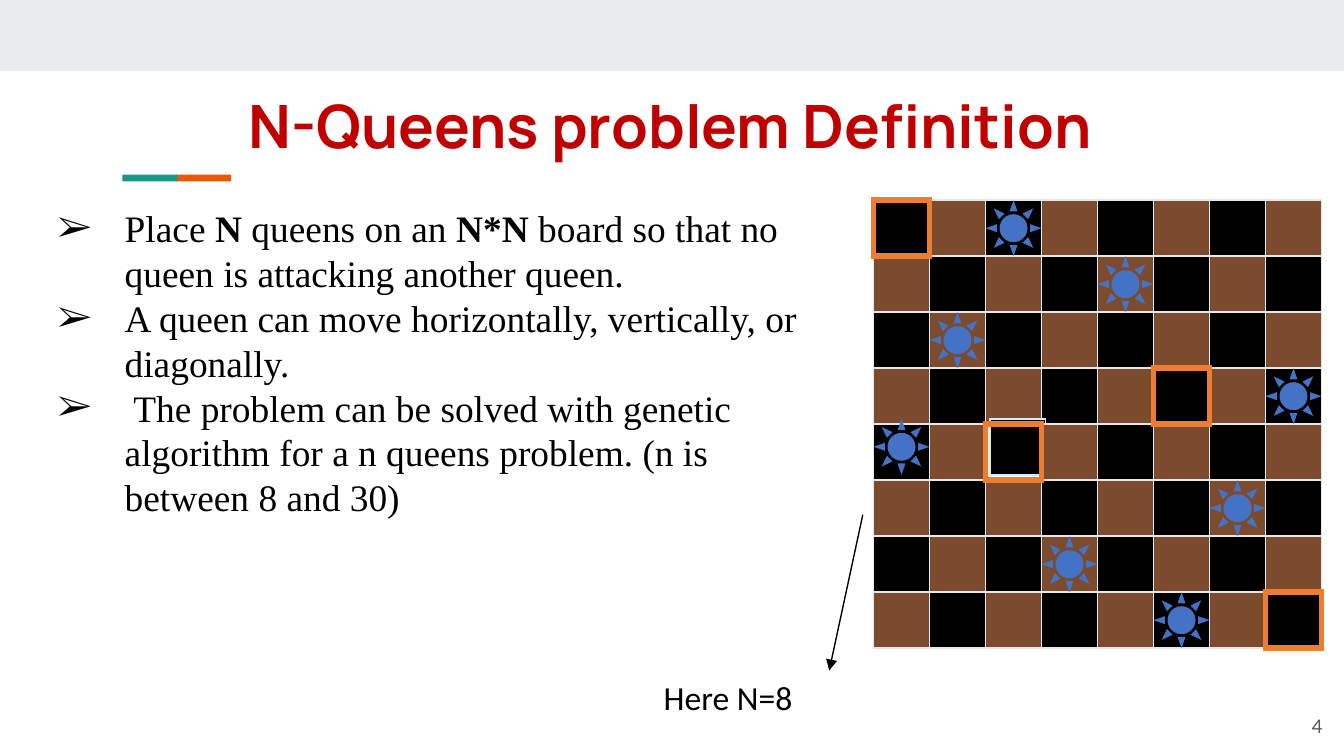
from lxml import etree
from pptx import Presentation
from pptx.dml.color import RGBColor
from pptx.enum.shapes import MSO_CONNECTOR, MSO_SHAPE
from pptx.enum.text import MSO_ANCHOR, PP_ALIGN
from pptx.oxml.ns import qn
from pptx.util import Inches, Pt

RECTANGLE = MSO_SHAPE.RECTANGLE
SUN = MSO_SHAPE.SUN
STRAIGHT = MSO_CONNECTOR.STRAIGHT
TOP, MIDDLE = MSO_ANCHOR.TOP, MSO_ANCHOR.MIDDLE
LEFT, RIGHT = PP_ALIGN.LEFT, PP_ALIGN.RIGHT

BOARD_SIZE = 8
BOARD_LEFT, BOARD_TOP = 6.5, 1.49
CELL = 5 / 12
QUEENS = [(0, 2), (1, 4), (2, 1), (3, 7), (4, 0), (5, 6), (6, 3), (7, 5)]
HIGHLIGHTS = [(0, 0), (3, 5), (4, 2), (7, 7)]
CELL_SHIFTS = {(4, 2): (0.03, -0.04)}
QUEEN_SHIFTS = {(4, 0): (0, -0.04)}

STATEMENTS = [
    [("Place ", False), ("N", True), (" queens on an ", False), ("N*N", True),
     (" board so that no queen is attacking another queen.", False)],
    [("A queen can move horizontally, vertically, or diagonally.", False)],
    [(" The problem can be solved with genetic algorithm for a n queens "
      "problem. (n is between 8 and 30)", False)],
]


def color(value):
    return RGBColor.from_string(value)


class SlideBuilder:
    black = "000000"
    brown = "7C4A2C"
    grid = "E7E6E6"
    queen = "4472C4"
    highlight = "ED7D31"

    def __init__(self, slide):
        self.slide = slide

    def shape(self, kind, left, top, width, height, fill=None, line=None, weight=1):
        item = self.slide.shapes.add_shape(
            kind, Inches(left), Inches(top), Inches(width), Inches(height))
        item.shadow.inherit = False
        if fill:
            item.fill.solid()
            item.fill.fore_color.rgb = color(fill)
        else:
            item.fill.background()
        if line:
            item.line.color.rgb = color(line)
            item.line.width = Pt(weight)
            etree.SubElement(item.line._get_or_add_ln(), qn("a:miter")).set("lim", "800000")
        else:
            item.line.fill.background()

    def on_board(self, kind, square, shift=(0, 0), **style):
        row, column = square
        self.shape(kind, BOARD_LEFT + column * CELL + shift[0],
                   BOARD_TOP + row * CELL + shift[1], CELL, CELL, **style)

    def text(self, left, top, width, height, paragraphs, font, size, ink="000000",
             inset=0.05, align=LEFT, anchor=TOP, bullet=None):
        box = self.slide.shapes.add_textbox(
            Inches(left), Inches(top), Inches(width), Inches(height))
        frame = box.text_frame
        frame.word_wrap = True
        frame.vertical_anchor = anchor
        frame.margin_left = frame.margin_right = Inches(0.1)
        frame.margin_top = frame.margin_bottom = Inches(inset)
        for index, runs in enumerate(paragraphs):
            paragraph = frame.add_paragraph() if index else frame.paragraphs[0]
            paragraph.alignment = align
            if bullet:
                self.bullet(paragraph, bullet, font)
            for words, bold in runs:
                run = paragraph.add_run()
                run.text = words
                run.font.name = font
                run.font.size = Pt(size)
                run.font.bold = bold
                run.font.color.rgb = color(ink)

    def bullet(self, paragraph, mark, font):
        properties = paragraph._p.get_or_add_pPr()
        properties.set("marL", str(Inches(0.5)))
        properties.set("indent", str(-Inches(0.5)))
        etree.SubElement(properties, qn("a:buFont")).set("typeface", font)
        etree.SubElement(properties, qn("a:buChar")).set("char", mark)

    def arrow(self, start, end):
        link = self.slide.shapes.add_connector(
            STRAIGHT, *(Inches(length) for length in start + end))
        link.line.color.rgb = color(self.black)
        link.line.width = Pt(0.75)
        etree.SubElement(link.line._get_or_add_ln(), qn("a:tailEnd")).set("type", "triangle")
        etree.SubElement(link._element.spPr, qn("a:effectLst"))


def main():
    deck = Presentation()
    deck.slide_width = Inches(10)
    deck.slide_height = Inches(10 * 9 / 16)
    builder = SlideBuilder(deck.slides.add_slide(deck.slide_layouts[6]))

    builder.shape(RECTANGLE, 0, 0, 10, 0.53, fill="E9EDEE")
    builder.shape(RECTANGLE, 1.31, 1.3, 0.41, 0.05, fill="EB5600")
    builder.shape(RECTANGLE, 0.91, 1.3, 0.41, 0.05, fill="1A9988")
    builder.text(1.75, 0.56, 8.41, 0.59, [[("N-Queens problem Definition", True)]],
                 "Manrope", 32, ink="C00000", inset=0.1)
    builder.text(9.34, 5.19, 0.6, 0.43, [[("4", False)]], "Lato", 10,
                 ink="595959", inset=0.1, align=RIGHT, anchor=MIDDLE)
    builder.text(0.33, 1.48, 6, 2.46, STATEMENTS, "Times New Roman", 20, bullet="➢")

    for row in range(BOARD_SIZE):
        for column in range(BOARD_SIZE):
            square = (row, column)
            fill = builder.brown if (row + column) % 2 else builder.black
            builder.on_board(RECTANGLE, square, CELL_SHIFTS.get(square, (0, 0)),
                             fill=fill, line=builder.grid)
    for square in QUEENS:
        builder.on_board(SUN, square, QUEEN_SHIFTS.get(square, (0, 0)), fill=builder.queen)
    for square in HIGHLIGHTS:
        builder.on_board(RECTANGLE, square, line=builder.highlight, weight=3)

    builder.arrow((6.42, 3.83), (6.17, 4.99))
    builder.text(4.84, 4.99, 2.08, 0.4, [[("Here N=8", False)]], "Calibri", 18)

    deck.save("out.pptx")


if __name__ == "__main__":
    main()
